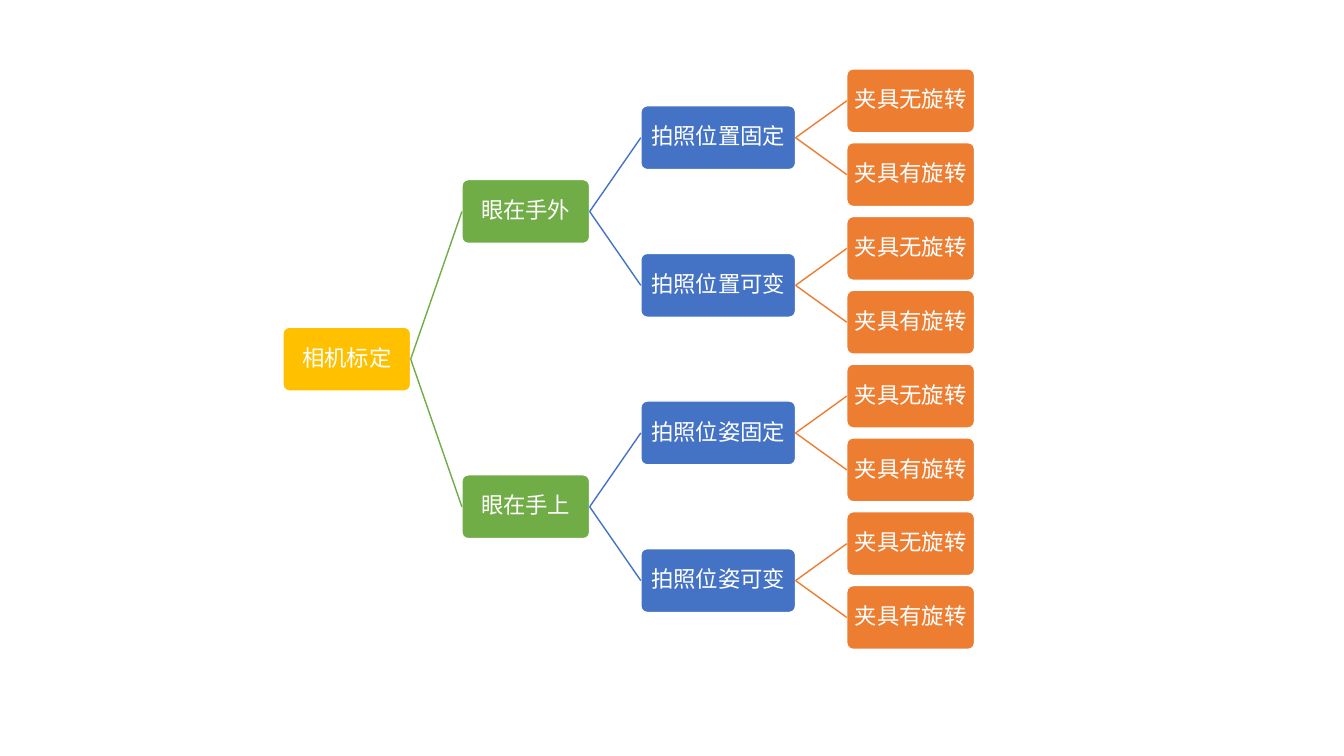
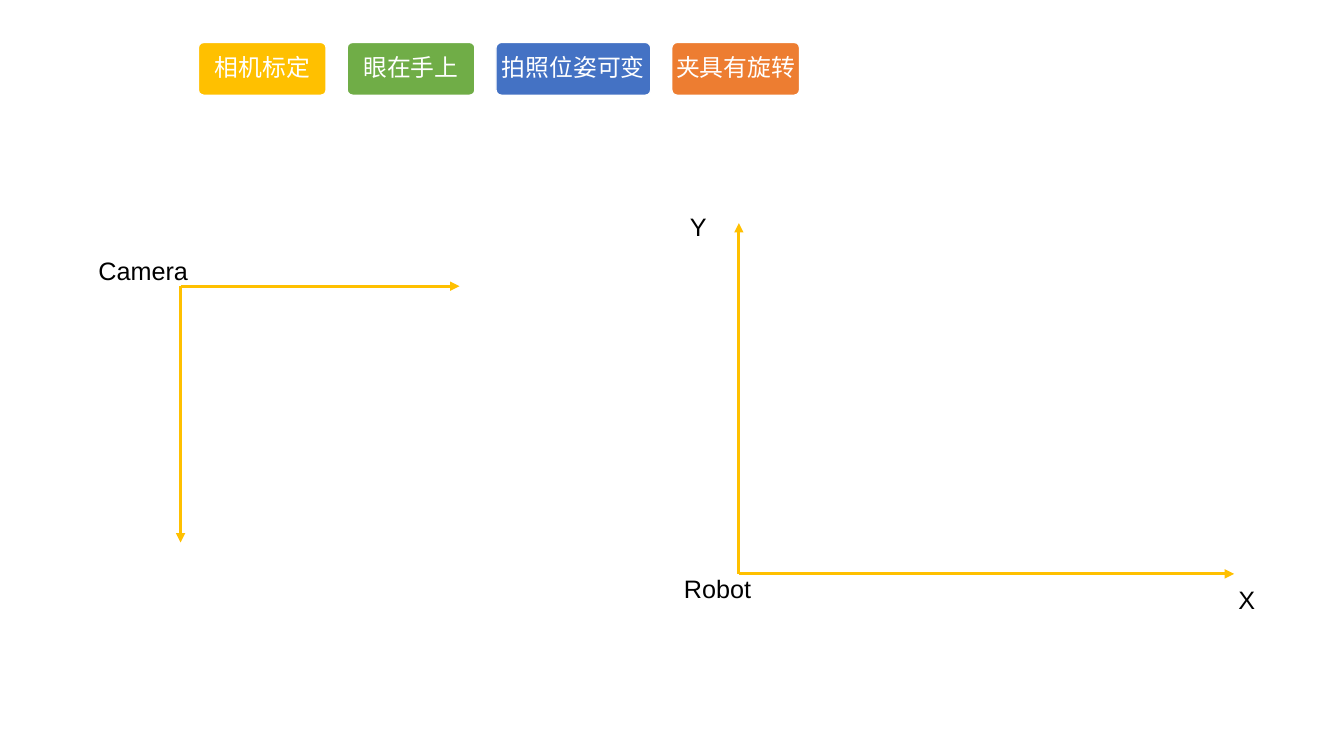
"""Build two slides on camera calibration: a decision tree and its coordinate frames."""
import pptx
import pptx.dml.color
import pptx.enum.shapes
import pptx.enum.text
import pptx.oxml.ns
import pptx.util
from lxml import etree

Cm = pptx.util.Cm
Pt = pptx.util.Pt
SHAPES = pptx.enum.shapes

COLORS = {
    "gold": "FFC000",
    "green": "70AD47",
    "blue": "4472C4",
    "orange": "ED7D31",
    "white": "FFFFFF",
    "black": "000000",
}
LEVELS = [("gold", 3.22), ("green", 3.22), ("blue", 3.9), ("orange", 3.22)]

GRIPPER = [("夹具无旋转", []), ("夹具有旋转", [])]
TREE = ("相机标定", [
    ("眼在手外", [("拍照位置固定", GRIPPER), ("拍照位置可变", GRIPPER)]),
    ("眼在手上", [("拍照位姿固定", GRIPPER), ("拍照位姿可变", GRIPPER)]),
])
TREE_LEFT, TREE_GAP, TREE_HEIGHT = 7.13, 1.29, 1.61
FIRST_CENTER, ROW_PITCH = 2.54, 1.86

TRAIL = ["相机标定", "眼在手上", "拍照位姿可变", "夹具有旋转"]
TRAIL_LEFT, TRAIL_TOP, TRAIL_GAP, TRAIL_HEIGHT = 5, 1.07, 0.53, 1.33

FRAMES = [
    {"origin": (18.62, 14.46), "ends": [(18.62, 5.62), (31.1, 14.46)]},
    {"origin": (4.55, 7.21), "ends": [(11.58, 7.21), (4.55, 13.67)]},
]
LABELS = [
    ("Robot", 17.07, 14.45, 2.03),
    ("Y", 16.84, 5.33, 1.52),
    ("X", 30.66, 14.73, 1.52),
    ("Camera", 2.34, 6.43, 2.54),
]
LABEL_HEIGHT = 0.75

NODE_FRAME = {
    "word_wrap": True,
    "vertical_anchor": pptx.enum.text.MSO_ANCHOR.MIDDLE,
    "margin_left": Cm(0.03),
    "margin_right": Cm(0.03),
    "margin_top": Cm(0.03),
    "margin_bottom": Cm(0.03),
}
LABEL_FRAME = {
    "word_wrap": True,
    "auto_size": pptx.enum.text.MSO_AUTO_SIZE.SHAPE_TO_FIT_TEXT,
    "margin_left": 0,
    "margin_right": 0,
    "margin_top": 0,
    "margin_bottom": 0,
}
CENTERED = {"alignment": pptx.enum.text.PP_ALIGN.CENTER}
NODE_PARAGRAPH = {**CENTERED, "line_spacing": 0.9}


def rgb(name):
    return pptx.dml.color.RGBColor.from_string(COLORS[name])


def apply(target, values):
    for name, value in values.items():
        setattr(target, name, value)


def write(box, text, color, frame_format, paragraph_format, font_format):
    apply(box.text_frame, frame_format)
    para = box.text_frame.paragraphs[0]
    apply(para, paragraph_format)
    span = para.add_run()
    span.text = text
    apply(span.font, font_format)
    span.font.color.rgb = rgb(color)


def add_node(page, text, color, left, top, width, height, size):
    box = page.shapes.add_shape(
        SHAPES.MSO_SHAPE.ROUNDED_RECTANGLE, Cm(left), Cm(top), Cm(width), Cm(height))
    box.adjustments[0] = 0.1
    box.shadow.inherit = False
    box.fill.solid()
    box.fill.fore_color.rgb = rgb(color)
    box.line.color.rgb = rgb("white")
    box.line.width = Pt(1)
    write(box, text, "white", NODE_FRAME, NODE_PARAGRAPH,
          {"name": "Calibri", "size": Pt(size)})
    return box


def add_line(page, start, end, color, width, arrow=False):
    line = page.shapes.add_connector(
        SHAPES.MSO_CONNECTOR.STRAIGHT, *[Cm(value) for value in (*start, *end)])
    line.line.color.rgb = rgb(color)
    line.line.width = Pt(width)
    if arrow:
        etree.SubElement(line.get_or_add_ln(), pptx.oxml.ns.qn("a:tailEnd"), type="triangle")
    etree.SubElement(line.element.spPr, pptx.oxml.ns.qn("a:effectLst"))
    return line


def add_branch(page, node, level, first_row):
    """Draw a node with its children; return its box, centre and next free row."""
    text, children = node
    color, width = LEVELS[level]
    left = TREE_LEFT + sum(LEVELS[step][1] + TREE_GAP for step in range(level))
    branches, row = [], first_row
    for child in children:
        child_box, child_center, row = add_branch(page, child, level + 1, row)
        branches.append((child_box, child_center))
    if branches:
        center = (branches[0][1] + branches[-1][1]) / 2
    else:
        center = FIRST_CENTER + first_row * ROW_PITCH
        row = first_row + 1
    box = add_node(page, text, color, left, center - TREE_HEIGHT / 2, width, TREE_HEIGHT, 16)
    for child_box, child_center in branches:
        line = add_line(page, (left + width, center),
                        (left + width + TREE_GAP, child_center), LEVELS[level + 1][0], 1)
        line.begin_connect(box, 3)
        line.end_connect(child_box, 1)
    return box, center, row


def build_tree(page):
    add_branch(page, TREE, 0, 0)


def build_frames(page):
    left = TRAIL_LEFT
    for text, (color, width) in zip(TRAIL, LEVELS):
        add_node(page, text, color, left, TRAIL_TOP, width, TRAIL_HEIGHT, 17)
        left += width + TRAIL_GAP
    for axes in FRAMES:
        for end in axes["ends"]:
            add_line(page, axes["origin"], end, "gold", 2.25, arrow=True)
    for text, left, top, width in LABELS:
        box = page.shapes.add_textbox(Cm(left), Cm(top), Cm(width), Cm(LABEL_HEIGHT))
        write(box, text, "black", LABEL_FRAME, CENTERED, {"name": "Arial", "size": Pt(18)})


def main():
    deck = pptx.Presentation()
    deck.slide_width, deck.slide_height = Cm(33.87), Cm(19.05)
    for build in (build_tree, build_frames):
        build(deck.slides.add_slide(deck.slide_layouts.get_by_name("Blank")))
    deck.save("out.pptx")


if __name__ == "__main__":
    main()
